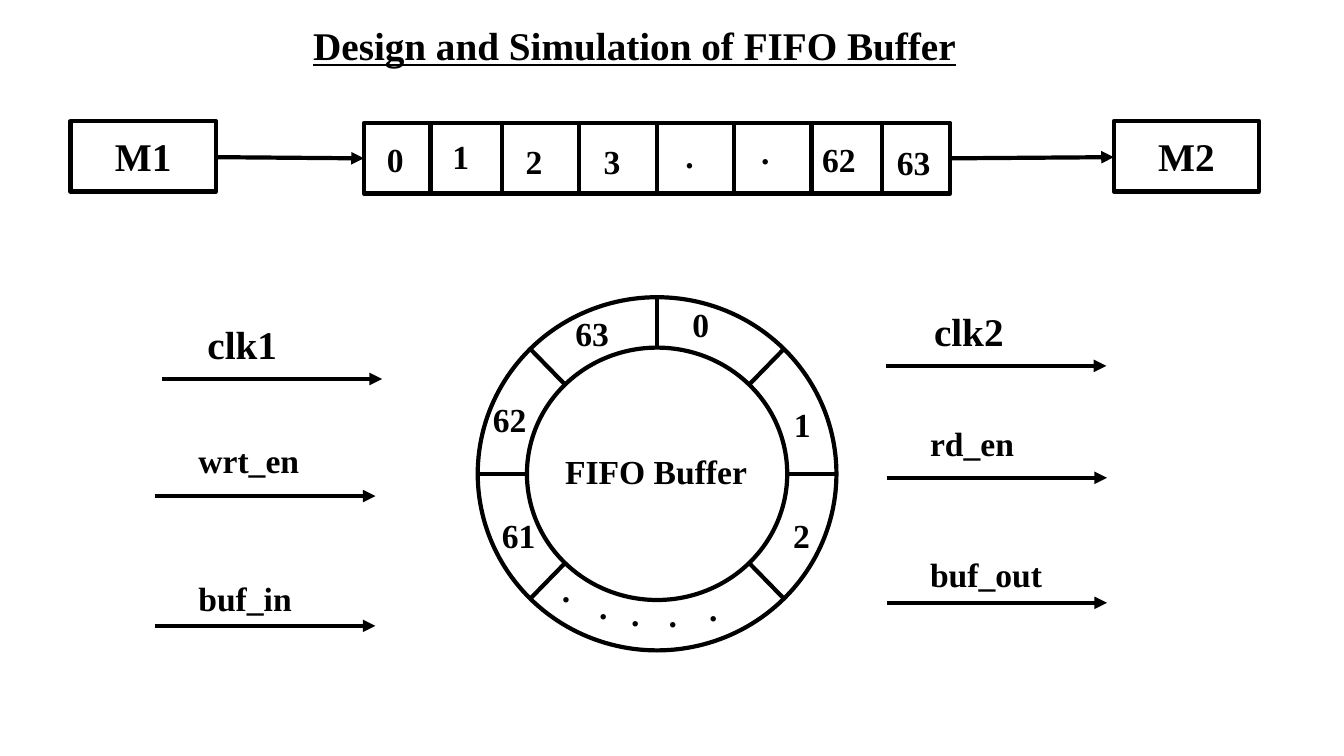
from math import cos, sin, radians
from pptx import Presentation
from pptx.dml.color import RGBColor
from pptx.enum.shapes import MSO_CONNECTOR as LINK, MSO_SHAPE as FORM
from pptx.enum.text import MSO_ANCHOR as ANCHOR, MSO_AUTO_SIZE as FIT, PP_ALIGN as ALIGN
from pptx.oxml.ns import qn
from pptx.util import Cm, Pt
from lxml.etree import SubElement

FONT = "Times New Roman"
BLACK, WHITE = "000000", "FFFFFF"
CELL_TOP, CELL_HIGH = 3.1, 1.78
HUB_X, HUB_Y = 16.56, 11.94
OUTER, INNER = (4.52, 4.45), (3.28, 3.18)

# text, left, top, width
CELLS = [("0", 9.5, 3.38, 1.19), ("1", 11.15, 3.3, 1.19), ("2", 13, 3.43, 1.19),
         ("3", 14.96, 3.43, 1.19), (".", 17.02, 3.28, 1.19),
         ("62", 20.47, 3.38, 1.55), ("63", 22.35, 3.45, 1.4)]
SLOTS = [("0", 17.2, 7.54, 1.19), ("1", 19.76, 10.06, 1.19), ("2", 19.74, 12.85, 1.19),
         ("61", 12.4, 12.85, 1.55), ("62", 12.17, 9.93, 1.65), ("63", 14.25, 7.77, 1.5)]
DOTS = [(13.49, 14.2), (14.43, 14.63), (15.24, 14.81), (16.18, 14.83), (17.2, 14.68)]
BARS = [10.85, 12.65, 14.6, 16.56, 18.49, 20.45, 22.23]

# text, size, text left, text top, arrow left, arrow height
SIGNALS = [("clk1", 28, 4.98, 7.95, 4.08, 9.55),
           ("wrt_en", 24, 4.75, 10.97, 3.91, 12.5),
           ("buf_in", 24, 4.75, 14.43, 3.91, 15.77),
           ("clk2", 28, 23.29, 7.62, 22.33, 9.22),
           ("rd_en", 24, 23.19, 10.52, 22.35, 12.04),
           ("buf_out", 24, 23.19, 13.84, 22.35, 15.19)]


def color(code):
    return RGBColor.from_string(code)


def write(frame, text, size, align, under=False):
    para = frame.paragraphs[0]
    para.alignment = align
    run = para.add_run()
    run.text = text
    font = run.font
    font.name, font.size, font.bold = FONT, Pt(size), True
    font.color.rgb = color(BLACK)
    if under:
        font.underline = True


def label(shapes, text, x, y, wide, size=24, align=ALIGN.LEFT, under=False):
    high = 1.45 if size > 24 else 1.27
    frame = shapes.add_textbox(Cm(x), Cm(y), Cm(wide), Cm(high)).text_frame
    frame.word_wrap = True
    frame.auto_size = FIT.SHAPE_TO_FIT_TEXT
    write(frame, text, size, align, under)


def outline(shapes, form, x, y, wide, high):
    shape = shapes.add_shape(form, Cm(x), Cm(y), Cm(wide), Cm(high))
    shape.shadow.inherit = False
    shape.fill.solid()
    shape.fill.fore_color.rgb = color(WHITE)
    shape.line.color.rgb = color(BLACK)
    shape.line.width = Pt(3)
    return shape


def line(shapes, x1, y1, x2, y2, arrow=False):
    link = shapes.add_connector(LINK.STRAIGHT, Cm(x1), Cm(y1), Cm(x2), Cm(y2))
    link.line.color.rgb = color(BLACK)
    link.line.width = Pt(3)
    if arrow:
        SubElement(link.line._get_or_add_ln(), qn("a:tailEnd"), type="triangle")
    SubElement(link._element.spPr, qn("a:effectLst"))


def module(shapes, name, x):
    box = outline(shapes, FORM.RECTANGLE, x, 3.05, 3.66, 1.78)
    box.text_frame.vertical_anchor = ANCHOR.MIDDLE
    write(box.text_frame, name, 28, ALIGN.CENTER)


def queue(shapes):
    outline(shapes, FORM.RECTANGLE, 9.17, CELL_TOP, 14.78, CELL_HIGH)
    for x in BARS:
        line(shapes, x, CELL_TOP, x, CELL_TOP + CELL_HIGH)
    for cell in CELLS:
        label(shapes, *cell)
    label(shapes, ".", 18.69, 3.18, 1.19, align=ALIGN.CENTER)


def rim(radii, angle):
    """Point on one of the ring's ellipses."""
    turn = radians(angle)
    return HUB_X + radii[0] * cos(turn), HUB_Y + radii[1] * sin(turn)


def ring(shapes):
    for rx, ry in (OUTER, INNER):
        outline(shapes, FORM.OVAL, HUB_X - rx, HUB_Y - ry, 2 * rx, 2 * ry)
    for angle in range(0, 360, 45):
        if angle != 90:
            line(shapes, *rim(INNER, angle), *rim(OUTER, angle))
    for slot in SLOTS:
        label(shapes, *slot)
    for x, y in DOTS:
        label(shapes, ".", x, y, 1.55, align=ALIGN.CENTER)


def signal(shapes, name, size, x, y, start, level):
    line(shapes, start, level, start + 5.55, level, arrow=True)
    label(shapes, name, x, y, 2.5 if size > 24 else 3.94, size)


def main():
    deck = Presentation()
    deck.slide_width, deck.slide_height = Cm(33.87), Cm(19.05)
    shapes = deck.slides.add_slide(deck.slide_layouts[6]).shapes

    def group():
        return shapes.add_group_shape().shapes

    module(shapes, "M1", 1.78)
    module(shapes, "M2", 28.07)
    queue(group())
    ring(group())
    line(shapes, 5.44, 3.96, 9.17, 3.99, arrow=True)
    line(shapes, 23.95, 3.99, 28.07, 3.96, arrow=True)
    label(shapes, "FIFO Buffer", 13.92, 11.23, 5.23, align=ALIGN.CENTER)
    for item in SIGNALS:
        signal(group(), *item)
    label(shapes, "Design and Simulation of FIFO Buffer", 7.52, 0.41, 16.94, 28,
          ALIGN.CENTER, under=True)
    deck.save("out.pptx")


if __name__ == "__main__":
    main()
